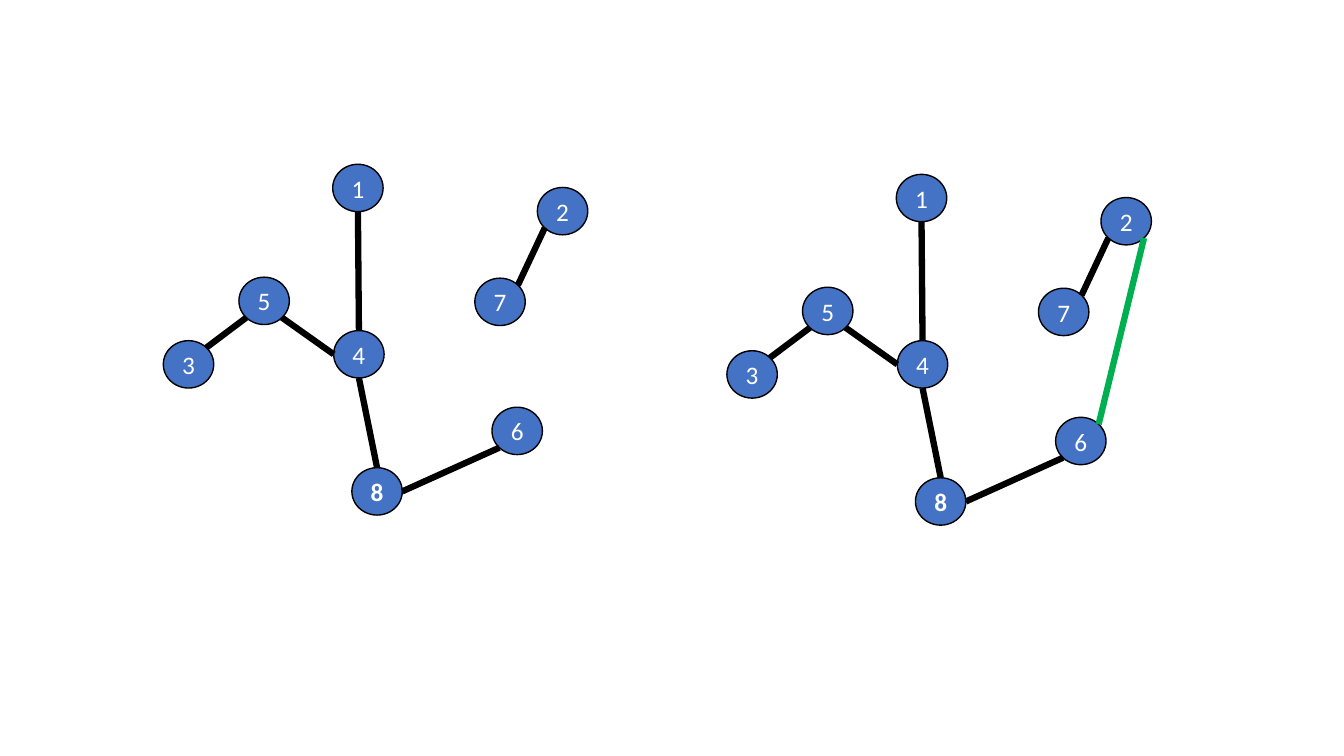
import math

from pptx import Presentation
from pptx.dml.color import RGBColor
from pptx.enum import shapes, text
from pptx.oxml import parse_xml
from pptx.oxml.ns import nsdecls
from pptx.util import Inches, Pt

COLORS = {"node": "4472C4", "edge": "000000", "new_edge": "00B050", "label": "FFFFFF"}
NODE_W, NODE_H = 0.5, 0.47
NODES = {
    "3": (1.62, 3.38), "5": (2.37, 2.75), "4": (3.31, 3.28), "1": (3.3, 1.63),
    "7": (4.71, 2.76), "8": (3.49, 4.64), "2": (5.33, 1.86), "6": (4.88, 4.04),
}
ANGLES = {"right": 0, "bottom right": 45, "bottom": 90, "bottom left": 135,
          "left": 180, "top left": 225, "top": 270, "top right": 315}
EDGES = [
    ("3", "top right", "5", "bottom left"),
    ("7", "top right", "2", "bottom left"),
    ("4", "left", "5", "bottom right"),
    ("4", "top", "1", "bottom"),
    ("8", "top", "4", "bottom"),
    ("6", "bottom left", "8", "right"),
]
NEW_EDGE = ("6", "top right", "2", "bottom right")


def rgb(name):
    """Return the named colour."""
    return RGBColor.from_string(COLORS[name])


def add_node(s, label, x, y):
    """Draw one labelled node with its top left corner at x, y."""
    sp = s.shapes.add_shape(shapes.MSO_SHAPE.FLOWCHART_CONNECTOR,
                            Inches(x), Inches(y), Inches(NODE_W), Inches(NODE_H))
    sp.shadow.inherit = False
    sp.fill.solid()
    sp.fill.fore_color.rgb = rgb("node")
    sp.line.color.rgb = rgb("edge")
    sp.line.width = Pt(1)
    tf = sp.text_frame
    tf.vertical_anchor = text.MSO_ANCHOR.MIDDLE
    p = tf.paragraphs[0]
    p.text = label
    p.alignment = text.PP_ALIGN.CENTER
    p.font.name = "Calibri"
    p.font.size = Pt(18)
    p.font.bold = label == "8"
    p.font.color.rgb = rgb("label")
    return sp


def rim_point(sp, side):
    """Return the point on a node's rim at the named side."""
    angle = math.radians(ANGLES[side])
    return (round(sp.left + sp.width / 2 * (1 + math.cos(angle))),
            round(sp.top + sp.height / 2 * (1 + math.sin(angle))))


def add_edge(s, nodes, edge, color="edge"):
    """Draw an edge between the rims of two nodes."""
    start, start_side, end, end_side = edge
    line = s.shapes.add_connector(shapes.MSO_CONNECTOR.STRAIGHT,
                                  *rim_point(nodes[start], start_side),
                                  *rim_point(nodes[end], end_side))
    if start_side == "top":
        line.begin_connect(nodes[start], 0)
    line.line.color.rgb = rgb(color)
    line.line.width = Pt(4.5)
    line._element.spPr.append(parse_xml(f"<a:effectLst {nsdecls('a')}/>"))


def add_graph(s, dx=0, dy=0):
    """Draw the forest shifted by dx, dy and return its nodes."""
    nodes = {label: add_node(s, label, x + dx, y + dy)
             for label, (x, y) in NODES.items()}
    for edge in EDGES:
        add_edge(s, nodes, edge)
    return nodes


def main():
    """Build the slide with the forest before and after the new edge."""
    prs = Presentation()
    prs.slide_width, prs.slide_height = Inches(13.33), Inches(7.5)
    s = prs.slides.add_slide(prs.slide_layouts[6])
    add_graph(s)
    joined = add_graph(s, 5.59, 0.1)
    add_edge(s, joined, NEW_EDGE, "new_edge")
    prs.save("out.pptx")


if __name__ == "__main__":
    main()
